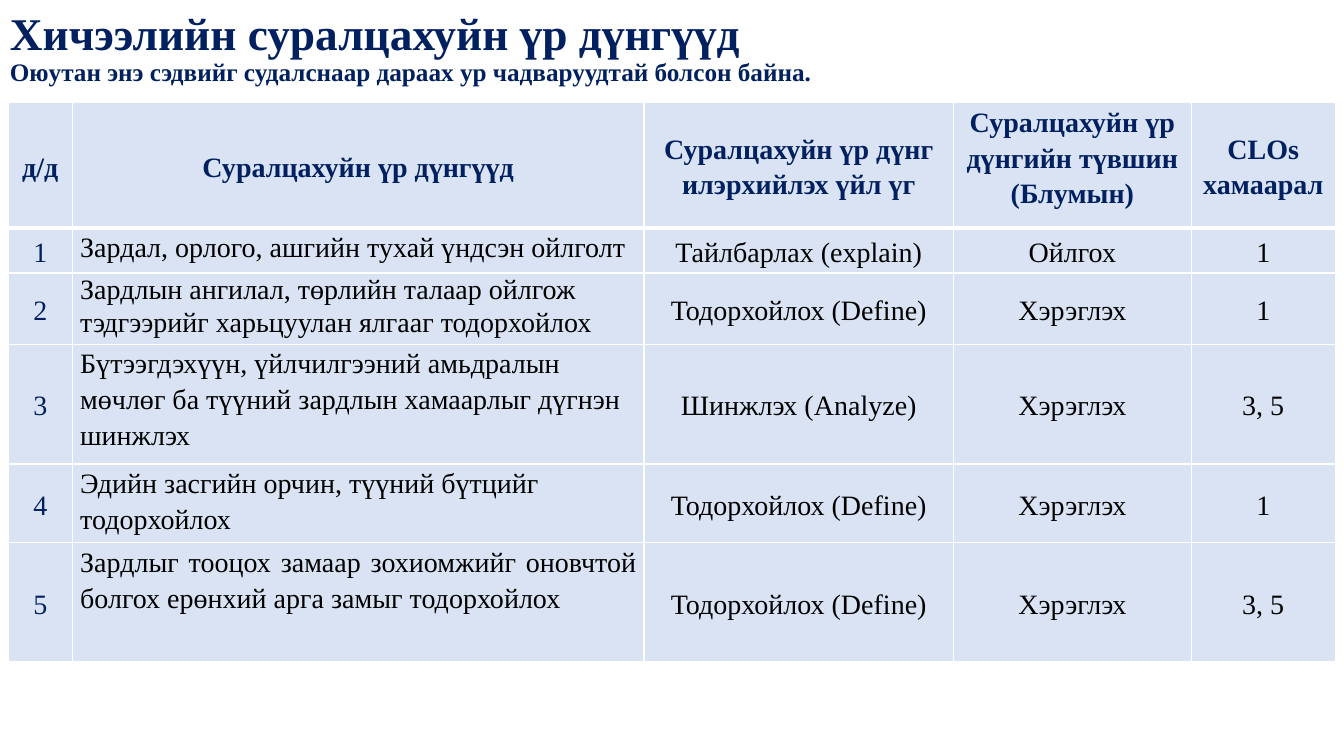
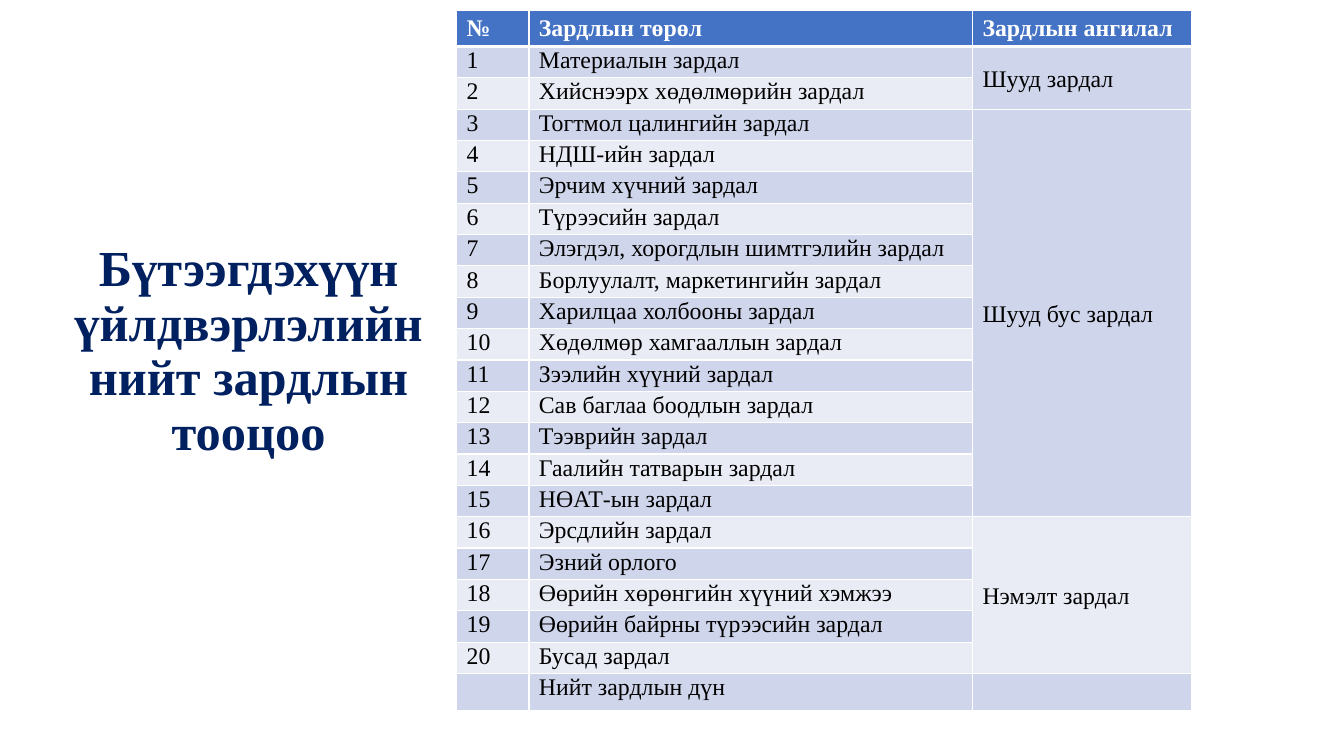
"""Build two slides on learning outcomes and cost types."""
from dataclasses import dataclass, replace

from lxml import etree
from pptx import Presentation
from pptx.dml.color import RGBColor
from pptx.enum.text import MSO_ANCHOR, PP_ALIGN
from pptx.oxml.ns import qn
from pptx.util import Cm, Pt

LEFT, MID, JUST = PP_ALIGN.LEFT, PP_ALIGN.CENTER, PP_ALIGN.JUSTIFY
TOP, HALF = MSO_ANCHOR.TOP, MSO_ANCHOR.MIDDLE
FONT = "Times New Roman"
INK = {
    "navy": "002060",
    "black": "000000",
    "white": "FFFFFF",
    "pale": "DAE3F3",
    "blue": "4472C4",
    "odd": "CFD5EA",
    "even": "E9EBF5",
}


@dataclass(frozen=True)
class Look:
    """Style of the text in a box or cell."""
    size: float
    ink: str = "black"
    bold: bool = False
    align: PP_ALIGN = LEFT
    anchor: MSO_ANCHOR = TOP
    lead: float = 1.0


@dataclass(frozen=True)
class Grid:
    """Place and measures of a table, in centimetres."""
    left: float
    top: float
    cols: tuple[float, ...]
    rows: tuple[float, ...]
    side: float
    above: float = 0
    below: float = 0


HEAD = Look(32.4, "navy", True, LEFT, HALF, 0.9)

GOALS = Grid(0.2, 2.59, (1.63, 14.4, 7.8, 5.99, 3.63),
             (3.15, 1.14, 1.78, 3.02, 1.98, 3), 0.19)
GOAL_TOP = ("д/д", "Суралцахуйн үр дүнгүүд", "Суралцахуйн үр дүнг илэрхийлэх үйл үг",
            "Суралцахуйн үр дүнгийн түвшин\n(Блумын)", "CLOs хамаарал")
GOAL_ROWS = (
    ("Зардал, орлого, ашгийн тухай үндсэн ойлголт",
     "Тайлбарлах (explain)", "Ойлгох", "1"),
    ("Зардлын ангилал, төрлийн талаар ойлгож тэдгээрийг харьцуулан ялгааг тодорхойлох",
     "Тодорхойлох (Define)", "Хэрэглэх", "1"),
    ("Бүтээгдэхүүн, үйлчилгээний амьдралын мөчлөг ба түүний зардлын хамаарлыг дүгнэн шинжлэх",
     "Шинжлэх (Analyze)", "Хэрэглэх", "3, 5"),
    ("Эдийн засгийн орчин, түүний бүтцийг тодорхойлох",
     "Тодорхойлох (Define)", "Хэрэглэх", "1"),
    ("Зардлыг тооцох замаар зохиомжийг оновчтой болгох ерөнхий арга замыг тодорхойлох",
     "Тодорхойлох (Define)", "Хэрэглэх", "3, 5"),
)
TIGHT = {2: 1.06}

COST_TOP = ("№", "Зардлын төрөл", "Зардлын ангилал")
COSTS = (
    ("Шууд зардал", ("Материалын зардал", "Хийснээрх хөдөлмөрийн зардал")),
    ("Шууд бус зардал", (
        "Тогтмол цалингийн зардал", "НДШ-ийн зардал", "Эрчим хүчний зардал",
        "Түрээсийн зардал", "Элэгдэл, хорогдлын шимтгэлийн зардал",
        "Борлуулалт, маркетингийн зардал", "Харилцаа холбооны зардал",
        "Хөдөлмөр хамгааллын зардал", "Зээлийн хүүний зардал",
        "Сав баглаа боодлын зардал", "Тээврийн зардал",
        "Гаалийн татварын зардал", "НӨАТ-ын зардал")),
    ("Нэмэлт зардал", (
        "Эрсдлийн зардал", "Эзний орлого", "Өөрийн хөрөнгийн хүүний хэмжээ",
        "Өөрийн байрны түрээсийн зардал", "Бусад зардал")),
)
COUNT = sum(len(names) for _, names in COSTS)
LIST = Grid(11.51, 0.25, (1.82, 11.18, 5.53), (0.92,) + (0.79,) * COUNT + (0.93,),
            0.25, 0.13, 0.05)


def add_run(para, text: str, look: Look) -> None:
    """Add one styled run to a paragraph."""
    run = para.add_run()
    run.text = text
    font = run.font
    font.name, font.size, font.bold = FONT, Pt(look.size), look.bold
    font.color.rgb = RGBColor.from_string(INK[look.ink])


def set_para(para, look: Look) -> None:
    """Set alignment and line spacing."""
    para.alignment, para.line_spacing = look.align, look.lead


def add_title(slide, place: tuple[float, ...], look: Look, text: str, sub: str = "") -> None:
    """Add the slide title with an optional smaller second line."""
    frame = slide.shapes.add_textbox(*map(Cm, place)).text_frame
    frame.word_wrap, frame.vertical_anchor = True, look.anchor
    para = frame.paragraphs[0]
    set_para(para, look)
    add_run(para, text, look)
    if sub:
        para.add_line_break()
        add_run(para, sub, replace(look, size=18))


def add_line(cell, tag: str, width: float) -> None:
    """Draw one white cell border."""
    line = etree.SubElement(cell._tc.get_or_add_tcPr(), qn(tag), w=str(Pt(width)))
    fill = etree.SubElement(line, qn("a:solidFill"))
    etree.SubElement(fill, qn("a:srgbClr"), val=INK["white"])


def add_grid(slide, grid: Grid):
    """Add an unstyled table with white borders and set its measures."""
    place = (grid.left, grid.top, sum(grid.cols), sum(grid.rows))
    table = slide.shapes.add_table(len(grid.rows), len(grid.cols), *map(Cm, place)).table
    table.first_row = table.horz_banding = False
    for col, width in zip(table.columns, grid.cols):
        col.width = Cm(width)
    for i, (row, height) in enumerate(zip(table.rows, grid.rows)):
        row.height = Cm(height)
        for cell in row.cells:
            cell.margin_left = cell.margin_right = Cm(grid.side)
            cell.margin_top, cell.margin_bottom = Cm(grid.above), Cm(grid.below)
            add_line(cell, "a:lnL", 1)
            add_line(cell, "a:lnR", 1)
            add_line(cell, "a:lnT", 3 if i == 1 else 1)
            add_line(cell, "a:lnB", 3 if i == 0 else 1)
    return table


def fill_cell(cell, text: str, fill: str, look: Look) -> None:
    """Colour a cell and write its text, one paragraph a line."""
    cell.fill.solid()
    cell.fill.fore_color.rgb = RGBColor.from_string(INK[fill])
    cell.vertical_anchor = look.anchor
    frame = cell.text_frame
    for i, line in enumerate(text.split("\n")):
        para = frame.add_paragraph() if i else frame.paragraphs[0]
        set_para(para, look)
        if line:
            add_run(para, line, look)
        else:
            etree.SubElement(para._p, qn("a:endParaRPr"), sz=str(int(look.size * 100)))


def draw_goals(slide) -> None:
    """Draw the slide of learning outcomes."""
    add_title(slide, (0, 0.15, 29.21, 2.18), HEAD, "Хичээлийн суралцахуйн үр дүнгүүд",
              "Оюутан энэ сэдвийг судалснаар дараах ур чадваруудтай болсон байна.")
    table = add_grid(slide, GOALS)
    body = Look(20, align=MID, anchor=HALF, lead=1.15)
    top = replace(body, ink="navy", bold=True)
    for c, text in enumerate(GOAL_TOP):
        look = replace(top, anchor=TOP) if "\n" in text else top
        fill_cell(table.cell(0, c), text, "pale", look)
    last = len(GOAL_ROWS)
    for r, row in enumerate(GOAL_ROWS, 1):
        goal = replace(body, align=JUST if r == last else LEFT, anchor=TOP,
                       lead=TIGHT.get(r, body.lead))
        looks = (replace(body, ink="navy"), goal, body, body, body)
        for c, (text, look) in enumerate(zip((str(r), *row), looks)):
            fill_cell(table.cell(r, c), text, "pale", look)


def draw_costs(slide) -> None:
    """Draw the slide of cost types grouped by class."""
    add_title(slide, (1.54, 4.86, 9.45, 8.03), replace(HEAD, size=36, align=MID),
              "Бүтээгдэхүүн үйлдвэрлэлийн нийт зардлын тооцоо")
    table = add_grid(slide, LIST)
    top = Look(17, "white", True)
    body = Look(17, lead=0.8)
    kind = Look(17, anchor=HALF)
    for c, text in enumerate(COST_TOP):
        fill_cell(table.cell(0, c), text, "blue", top)
    r = 1
    for group, names in COSTS:
        table.cell(r, 2).merge(table.cell(r + len(names) - 1, 2))
        fill_cell(table.cell(r, 2), group, "odd" if r % 2 else "even", kind)
        for r, name in enumerate(names, r):
            for c, text in enumerate((str(r), name)):
                fill_cell(table.cell(r, c), text, "odd" if r % 2 else "even", body)
        r += 1
    for c, text in enumerate(("", "Нийт зардлын дүн", "")):
        fill_cell(table.cell(r, c), text, "odd", body)


def main() -> None:
    """Build and save the deck."""
    deck = Presentation()
    deck.slide_width, deck.slide_height = Cm(33.87), Cm(19.05)
    blank = deck.slide_layouts[6]
    for draw in (draw_goals, draw_costs):
        draw(deck.slides.add_slide(blank))
    deck.save("out.pptx")


if __name__ == "__main__":
    main()
